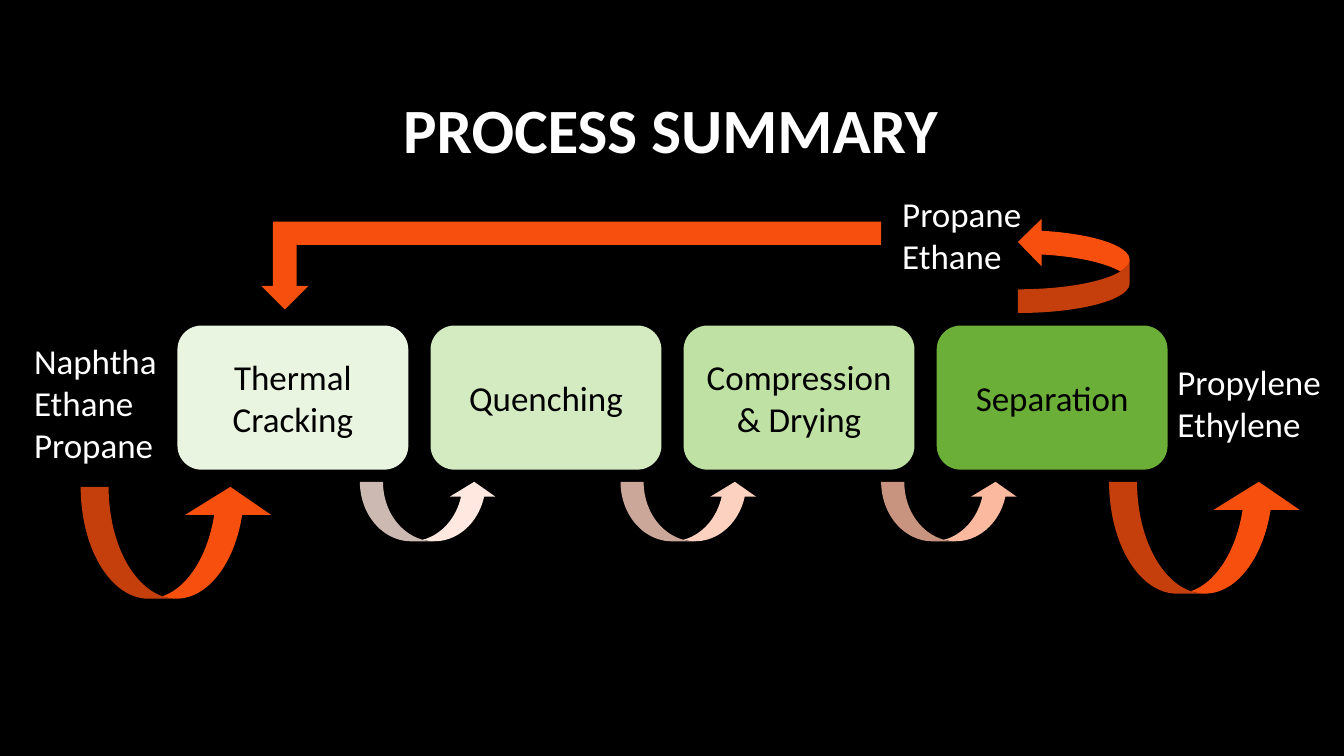
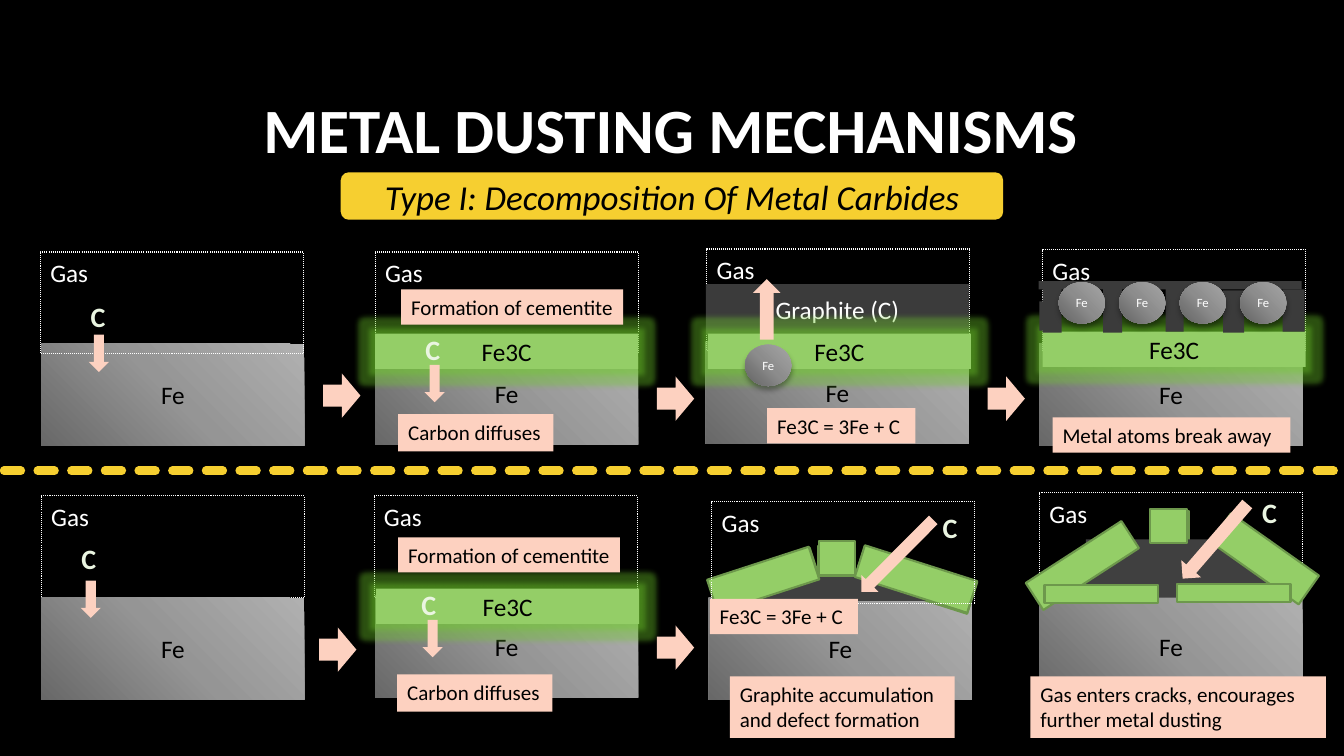
from pptx import Presentation
from pptx.dml.color import RGBColor
from pptx.enum.dml import MSO_LINE
from pptx.enum.shapes import MSO_CONNECTOR, MSO_SHAPE as Preset
from pptx.enum.text import MSO_ANCHOR as Anchor, PP_ALIGN as Align
from pptx.oxml import parse_xml
from pptx.oxml.ns import nsdecls, qn
from pptx.util import Inches, Pt

FONT = "Calibri"
COLORS = {
    "black": "000000", "white": "FFFFFF", "orange": "F64F0E", "peach": "FDD1C0",
    "blush": "FEE8DF", "salmon": "FBBAA0", "mint": "EAF5E1", "pale": "D4EBC2",
    "light": "BFE2A4", "leaf": "6CAF38", "green": "94CE67", "edge": "6D984C",
    "yellow": "F6CF30", "graphite": "3B3B3B", "soot": "404040", "glow": "6FCB2B",
}
GRADIENTS = {
    "iron": ("686868", "959595", "B0B0B0"),
    "atom": ("626262", "8C8C8C", "A6A6A6"),
}
EFFECTS = {
    "glow": f'<a:glow {nsdecls("a")} rad="101600"><a:srgbClr val="{COLORS["glow"]}">'
            '<a:alpha val="40000"/></a:srgbClr></a:glow>',
    "shadow": f'<a:outerShdw {nsdecls("a")} blurRad="50800" dist="38100" dir="5400000">'
              '<a:srgbClr val="000000"><a:alpha val="35000"/></a:srgbClr></a:outerShdw>',
}

# Part styles: shape, default size and text, fill, outline and font
CENTERED = {"align": Align.CENTER, "anchor": Anchor.MIDDLE}
STYLES = {
    "title": {"size": (11.08, 1.59), "font": {"size": 45, "bold": True}, **CENTERED},
    "subtitle": {"shape": Preset.ROUNDED_RECTANGLE, "fill": "yellow",
                 "font": {"size": 25, "italic": True, "color": "black"}, **CENTERED},
    "stage": {"shape": Preset.ROUNDED_RECTANGLE, "size": (2.29, 1.43),
              "font": {"size": 25, "color": "black"}, **CENTERED},
    "stream": {"font": {"size": 25}},
    "feed arrow": {"shape": Preset.CURVED_UP_ARROW, "size": (1.91, 1.11),
                   "fill": "orange", "adjust": (0.25, 0.766, 0.25)},
    "link arrow": {"shape": Preset.CURVED_UP_ARROW, "size": (1.36, 0.59),
                   "adjust": (0.388, 0.766, 0.25)},
    "recycle arrow": {"shape": Preset.CURVED_UP_ARROW, "size": (0.94, 1.11),
                      "fill": "orange", "adjust": (0.25, 0.5, 0.25)},
    "recycle bar": {"shape": Preset.RECTANGLE, "fill": "orange"},
    "recycle tip": {"shape": Preset.LEFT_ARROW, "fill": "orange"},
    "metal": {"shape": Preset.RECTANGLE, "size": (2.61, 1.01), "fill": "iron",
              "text": "Fe", "font": {"size": 18, "color": "black"}, **CENTERED},
    "gas": {"shape": Preset.RECTANGLE, "size": (2.61, 1.01), "text": "Gas",
            "line": ("white", 0.75, MSO_LINE.ROUND_DOT), "font": {"size": 18}},
    "carbide": {"shape": Preset.RECTANGLE, "size": (2.61, 0.35), "fill": "green",
                "effect": "glow", "text": "Fe3C",
                "font": {"size": 18, "color": "black"}, **CENTERED},
    "graphite": {"shape": Preset.RECTANGLE, "fill": "graphite",
                 "font": {"size": 18}, **CENTERED},
    "soot": {"shape": Preset.RECTANGLE, "fill": "soot"},
    "slab": {"shape": Preset.RECTANGLE, "size": (0.36, 0.34), "fill": "green",
             "line": ("edge", 1.5, None)},
    "atom": {"shape": Preset.OVAL, "size": (0.46, 0.41), "fill": "atom",
             "effect": "shadow", "text": "Fe", "font": {"size": 9}, **CENTERED},
    "carbon": {"size": (0.35, 0.44), "text": "C",
               "font": {"size": 20, "bold": True, "color": "mint"}},
    "down arrow": {"shape": Preset.UP_ARROW, "size": (0.2, 0.37), "fill": "peach",
                   "turn": 180},
    "next arrow": {"shape": Preset.UP_ARROW, "size": (0.44, 0.37), "fill": "peach",
                   "turn": 90},
    "arrow": {"shape": Preset.UP_ARROW, "fill": "peach"},
    "label": {"shape": Preset.RECTANGLE, "fill": "peach",
              "font": {"size": 15, "color": "black"}},
}

# Slide 1: stages from left to right, and the arrows and streams around them
STAGES = [("Thermal Cracking", "mint"), ("Quenching", "pale"),
          ("Compression & Drying", "light"), ("Separation", "leaf")]
STAGE_LEFT, STAGE_PITCH = 1.76, 2.51
LINKS = ["blush", "peach", "salmon"]
LINK_LEFT, LINK_PITCH = 3.57, 2.585
STREAMS = [
    ("feed arrow", 0.8, 4.83, {}),
    ("feed arrow", 11, 4.78, {}),
    ("stream", 0.24, 3.32, {"size": (1.5, 1.36), "text": "Naphtha\nEthane\nPropane"}),
    ("stream", 11.58, 3.53, {"size": (1.7, 0.94), "text": "Propylene\nEthylene"}),
    ("recycle arrow", 10.18, 2.08, {"turn": 270}),
    ("stream", 8.85, 1.86, {"size": (1.91, 0.94), "text": "Propane\nEthane"}),
    ("recycle bar", 2.71, 2.2, {"size": (6.03, 0.23)}),
    ("recycle tip", 2.4, 2.41, {"size": (0.85, 0.47), "turn": 270}),
]

# Slide 2: eight panels, each listed from back to front
CEMENTITE = {"size": (2.2, 0.35), "text": "Formation of cementite"}
DIFFUSES = {"size": (1.54, 0.37), "text": "Carbon diffuses"}
REACTION = {"size": (1.47, 0.35), "text": "Fe3C = 3Fe + C"}
LEFT_SLAB = {"size": (1.06, 0.34), "turn": 342}
RIGHT_SLAB = {"size": (1.17, 0.33), "turn": 17.7}
FLAT_SLAB = {"size": (1.13, 0.18)}
# Graphite between the atoms: left, top, width, height
TEETH = [(10.31, 2.99, 0.21, 0.29), (10.34, 2.8, 0.19, 0.5), (10.94, 2.84, 0.19, 0.46),
         (11.56, 2.83, 0.18, 0.46), (12.13, 2.88, 0.21, 0.42), (12.72, 2.87, 0.22, 0.42),
         (10.3, 2.79, 2.61, 0.08)]
PANELS = [
    [("metal", 0.41, 3.41, {}), ("gas", 0.4, 2.5, {}), ("carbon", 0.8, 2.92, {}),
     ("down arrow", 0.88, 3.32, {}), ("next arrow", 3.17, 3.74, {})],
    [("metal", 3.72, 3.4, {}), ("gas", 3.72, 2.5, {}), ("carbide", 3.72, 3.31, {}),
     ("carbon", 4.12, 3.25, {}), ("down arrow", 4.21, 3.62, {}),
     ("label", 3.98, 2.87, CEMENTITE), ("label", 3.95, 4.11, DIFFUSES),
     ("next arrow", 6.48, 3.77, {})],
    [("metal", 7, 3.39, {}), ("gas", 7.01, 2.47, {}),
     ("graphite", 7, 2.82, {"size": (2.61, 0.5), "text": "Graphite (C)"}),
     ("carbide", 7.02, 3.31, {}), ("arrow", 7.47, 2.77, {"size": (0.27, 0.6)}),
     ("label", 7.61, 4.05, REACTION), ("atom", 7.39, 3.42, {}),
     ("next arrow", 9.76, 3.77, {})],
    [("metal", 10.31, 3.41, {}), ("gas", 10.34, 2.48, {}), ("carbide", 10.34, 3.29, {}),
     *(("graphite", left, top, {"size": size}) for left, top, *size in TEETH),
     *(("atom", 10.5 + 0.6 * i, 2.8, {}) for i in range(4)),
     ("label", 10.44, 4.14, {"size": (2.36, 0.35), "text": "Metal atoms break away"})],
    [("gas", 0.41, 4.92, {}), ("metal", 0.41, 5.93, {}), ("carbon", 0.71, 5.32, {}),
     ("down arrow", 0.8, 5.76, {}), ("next arrow", 3.13, 6.26, {})],
    [("metal", 3.72, 5.91, {}), ("gas", 3.71, 4.92, {}), ("carbide", 3.73, 5.84, {}),
     ("carbon", 4.08, 5.78, {}), ("down arrow", 4.19, 6.15, {}),
     ("label", 3.95, 5.33, CEMENTITE), ("label", 3.94, 6.69, DIFFUSES),
     ("next arrow", 6.48, 6.24, {})],
    [("metal", 7.03, 5.93, {}), ("slab", 7.05, 5.59, LEFT_SLAB), ("slab", 8.11, 5.42, {}),
     ("slab", 8.5, 5.59, RIGHT_SLAB), ("soot", 7.47, 5.67, {"size": (1.83, 0.29)}),
     ("slab", 7.04, 5.58, LEFT_SLAB), ("slab", 8.5, 5.58, RIGHT_SLAB),
     ("slab", 8.12, 5.37, {}),
     ("arrow", 8.78, 5.01, {"size": (0.24, 1.01), "turn": 224.9}),
     ("carbon", 9.25, 5.02, {}), ("gas", 7.06, 4.98, {}),
     ("label", 7.24, 6.71, {"size": (2.23, 0.61),
                            "text": "Graphite accumulation and defect formation"}),
     ("label", 7.04, 5.94, REACTION)],
    [("metal", 10.31, 5.91, {}), ("gas", 10.31, 4.89, {}), ("slab", 11.43, 5.07, {}),
     ("soot", 10.77, 5.35, {"size": (1.83, 0.58)}),
     ("slab", 10.17, 5.45, {"size": (1.13, 0.32), "turn": 327.1}),
     ("slab", 12.01, 5.37, {"size": (1.07, 0.35), "turn": 35.3}),
     ("slab", 11.41, 5.05, {}),
     ("arrow", 11.92, 4.88, {"size": (0.26, 0.98), "turn": 220.9}),
     ("carbon", 12.42, 4.87, {}), ("slab", 10.36, 5.8, FLAT_SLAB),
     ("slab", 11.67, 5.79, FLAT_SLAB),
     ("label", 10.22, 6.71, {"size": (2.93, 0.61),
                             "text": "Gas enters cracks, encourages further metal dusting"})],
]


def rgb(name):
    return RGBColor.from_string(COLORS[name])


def fill_box(box, name):
    """Fill with a plain colour, a radial gradient or nothing."""
    if name in COLORS:
        box.fill.solid()
        box.fill.fore_color.rgb = rgb(name)
        return
    box.fill.background()
    if name in GRADIENTS:
        stops = "".join(f'<a:gs pos="{i * 50000}"><a:srgbClr val="{shade}"/></a:gs>'
                        for i, shade in enumerate(GRADIENTS[name]))
        gradient = parse_xml(
            f'<a:gradFill {nsdecls("a")} rotWithShape="1"><a:gsLst>{stops}</a:gsLst>'
            '<a:path path="circle"><a:fillToRect t="100000" r="100000"/></a:path></a:gradFill>')
        properties = box._element.spPr
        properties.replace(properties.find(qn("a:noFill")), gradient)


def draw_line(line, color, width, dash):
    line.color.rgb = rgb(color)
    line.width = Pt(width)
    if dash is not None:
        line.dash_style = dash


def write_text(box, style):
    frame = box.text_frame
    frame.word_wrap = True
    frame.vertical_anchor = style.get("anchor", Anchor.TOP)
    look = {"name": FONT, "color": "white", **style["font"]}
    look["size"] = Pt(look["size"])
    color = rgb(look.pop("color"))
    for i, line in enumerate(style["text"].split("\n")):
        para = frame.add_paragraph() if i else frame.paragraphs[0]
        para.alignment = style.get("align", Align.LEFT)
        span = para.add_run()
        span.text = line
        span.font.color.rgb = color
        for name, value in look.items():
            setattr(span.font, name, value)


def place(page, kind, left, top, changes):
    style = {**STYLES[kind], **changes}
    frame = [Inches(value) for value in (left, top, *style["size"])]
    if "shape" in style:
        box = page.shapes.add_shape(style["shape"], *frame)
        box.shadow.inherit = False
        fill_box(box, style.get("fill"))
        if "line" in style:
            draw_line(box.line, *style["line"])
        else:
            box.line.fill.background()
        for i, value in enumerate(style.get("adjust", ())):
            box.adjustments[i] = value
        if "effect" in style:
            effects = box._element.spPr.find(qn("a:effectLst"))
            effects.append(parse_xml(EFFECTS[style["effect"]]))
    else:
        box = page.shapes.add_textbox(*frame)
    box.rotation = style.get("turn", 0)
    if "text" in style:
        write_text(box, style)


def add_page(deck, title):
    page = deck.slides.add_slide(deck.slide_layouts[6])
    page.background.fill.solid()
    page.background.fill.fore_color.rgb = rgb("black")
    place(page, "title", 1.11, 0.48, {"text": title})
    return page


def build_summary(deck):
    page = add_page(deck, "PROCESS SUMMARY")
    for i, (text, fill) in enumerate(STAGES):
        place(page, "stage", STAGE_LEFT + STAGE_PITCH * i, 3.23, {"text": text, "fill": fill})
    for i, fill in enumerate(LINKS):
        place(page, "link arrow", LINK_LEFT + LINK_PITCH * i, 4.78, {"fill": fill})
    for part in STREAMS:
        place(page, *part)


def build_mechanisms(deck):
    page = add_page(deck, "METAL DUSTING MECHANISMS")
    place(page, "subtitle", 3.38, 1.71,
          {"size": (6.57, 0.47), "text": "Type I: Decomposition Of Metal Carbides"})
    for panel in PANELS:
        for part in panel:
            place(page, *part)
    # Divider between the two rows
    divider = page.shapes.add_connector(MSO_CONNECTOR.STRAIGHT, Inches(0.04), Inches(4.67),
                                        Inches(13.33), Inches(4.67))
    draw_line(divider.line, "yellow", 6, MSO_LINE.SQUARE_DOT)
    properties = divider._element.spPr
    properties.find(qn("a:ln")).set("cap", "rnd")
    properties.append(parse_xml(f'<a:effectLst {nsdecls("a")}/>'))


def main():
    deck = Presentation()
    deck.slide_width, deck.slide_height = Inches(13.33), Inches(7.5)
    build_summary(deck)
    build_mechanisms(deck)
    deck.save("out.pptx")


if __name__ == "__main__":
    main()
